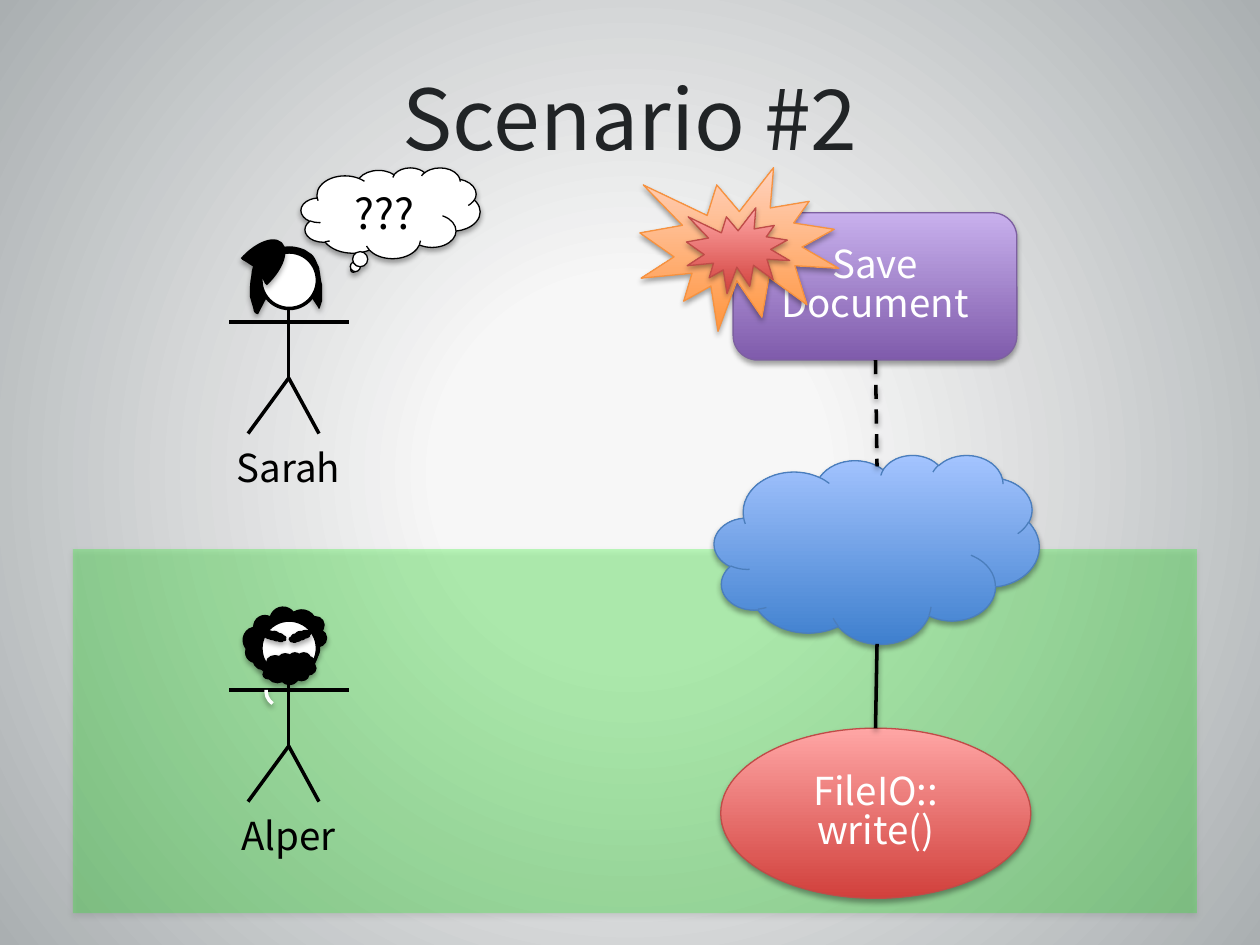
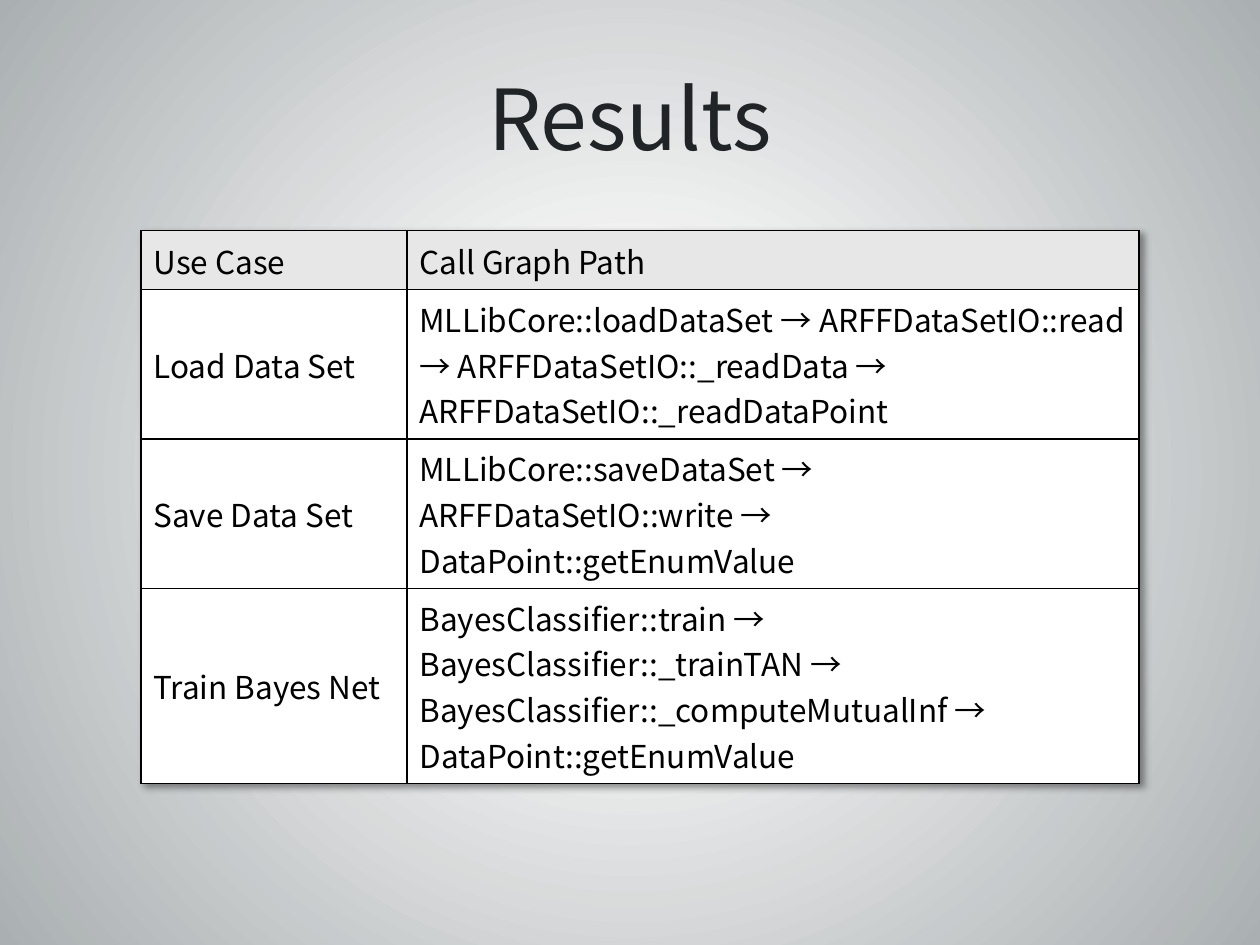
from lxml import etree
from pptx import Presentation
from pptx.dml.color import RGBColor
from pptx.enum.dml import MSO_LINE
from pptx.enum.shapes import MSO_CONNECTOR, MSO_SHAPE
from pptx.enum.text import MSO_ANCHOR, PP_ALIGN
from pptx.oxml import parse_xml
from pptx.oxml.ns import nsdecls, qn
from pptx.util import Cm, Pt

RECT, ROUNDED = MSO_SHAPE.RECTANGLE, MSO_SHAPE.ROUNDED_RECTANGLE
OVAL, CLOUD, ARC = MSO_SHAPE.OVAL, MSO_SHAPE.CLOUD, MSO_SHAPE.ARC
BURST, THOUGHT = MSO_SHAPE.EXPLOSION1, MSO_SHAPE.CLOUD_CALLOUT
STRAIGHT, DASH = MSO_CONNECTOR.STRAIGHT, MSO_LINE.DASH
CENTER = PP_ALIGN.CENTER
TOP, MIDDLE, BOTTOM = MSO_ANCHOR.TOP, MSO_ANCHOR.MIDDLE, MSO_ANCHOR.BOTTOM

FONT = "Noto Sans CJK JP"
TIGHT = 0.84  # line spacing of diagram labels
BLACK = RGBColor(0x00, 0x00, 0x00)
WHITE = RGBColor(0xFF, 0xFF, 0xFF)
TITLE_INK = RGBColor(0x21, 0x24, 0x26)
GREEN = RGBColor(0x00, 0xFF, 0x00)
HEADER_GREY = RGBColor(0xE7, 0xE7, 0xE7)
BACKDROP = (RGBColor(0xF7, 0xF7, 0xF7), RGBColor(0xAA, 0xAF, 0xB1))

# Gradients run from bottom to top; each has its outline colour
BLUE = (RGBColor(0x3F, 0x80, 0xCE), RGBColor(0xA4, 0xC4, 0xFF))
BLUE_LINE = RGBColor(0x4B, 0x7E, 0xBC)
RED = (RGBColor(0xD1, 0x40, 0x3C), RGBColor(0xFF, 0xA6, 0xA5))
RED_LINE = RGBColor(0xBF, 0x4C, 0x48)
PURPLE = (RGBColor(0x7F, 0x5B, 0xAB), RGBColor(0xC8, 0xB0, 0xED))
PURPLE_LINE = RGBColor(0x7D, 0x60, 0xA0)
ORANGE = (RGBColor(0xFF, 0x95, 0x3E), RGBColor(0xFF, 0xD2, 0xBD))
ORANGE_LINE = RGBColor(0xF6, 0x92, 0x40)

# Hair outlines in cm: a start point, then Bezier triples
HAIR_LEFT = [
    (5.87, 5.05), (5.79, 5.0), (5.74, 4.98), (5.66, 4.98),
    (5.56, 4.98), (5.46, 5.0), (5.38, 5.03), (5.31, 5.08), (5.23, 5.13), (5.18, 5.23),
    (5.13, 5.31), (5.08, 5.46), (5.08, 5.56), (5.05, 5.69), (5.05, 5.87), (5.05, 5.97),
    (5.08, 6.1), (5.13, 6.22), (5.13, 6.27), (5.16, 6.32), (5.18, 6.32), (5.21, 6.32)]
HAIR_RIGHT = [
    (5.64, 5.05), (5.69, 5.0), (5.74, 4.98), (5.84, 4.98),
    (5.92, 4.98), (6.02, 5.0), (6.1, 5.03), (6.17, 5.05), (6.22, 5.11), (6.27, 5.13),
    (6.32, 5.18), (6.35, 5.23), (6.38, 5.31), (6.4, 5.36), (6.43, 5.38), (6.43, 5.46),
    (6.45, 5.54), (6.45, 5.64), (6.48, 5.74), (6.48, 5.84), (6.48, 5.97), (6.48, 6.07),
    (6.45, 6.15), (6.45, 6.17), (6.43, 6.22)]

USE_CASES = [
    ("Use Case", "Call Graph Path"),
    ("Load Data Set", "MLLibCore::loadDataSet → ARFFDataSetIO::read → "
     "ARFFDataSetIO::_readData → ARFFDataSetIO::_readDataPoint"),
    ("Save Data Set", "MLLibCore::saveDataSet → ARFFDataSetIO::write → "
     "DataPoint::getEnumValue"),
    ("Train Bayes Net", "BayesClassifier::train → BayesClassifier::_trainTAN → "
     "BayesClassifier::_computeMutualInf → DataPoint::getEnumValue"),
]


def shadow_xml(blur, dist, angle, alpha):
    return parse_xml(
        f'<a:effectLst {nsdecls("a")}><a:outerShdw blurRad="{Pt(blur)}" dist="{Pt(dist)}" '
        f'dir="{angle * 60000}" rotWithShape="0"><a:srgbClr val="000000">'
        f'<a:alpha val="{alpha * 1000}"/></a:srgbClr></a:outerShdw></a:effectLst>')


def set_effect(sp, shadow):
    spPr = sp._element.spPr
    if shadow:
        spPr.append(shadow_xml(3.1, 1.8, 90, 35))
    else:
        etree.SubElement(spPr, qn("a:effectLst"))


def set_gradient(fill, colors, first=0):
    fill.gradient()
    fill.gradient_angle = 90
    for stop, color, position in zip(fill.gradient_stops, colors, (first, 1)):
        stop.color.rgb = color
        stop.position = position


def paint(sp, fill=None, line=None, width=0.75, shadow=True):
    """A pair of colours as fill is a gradient; None is no fill or no line."""
    if fill is None:
        sp.fill.background()
    elif isinstance(fill, RGBColor):
        sp.fill.solid()
        sp.fill.fore_color.rgb = fill
    else:
        set_gradient(sp.fill, fill)
    if line is None:
        sp.line.fill.background()
    else:
        sp.line.color.rgb = line
        sp.line.width = Pt(width)
    set_effect(sp, shadow)


def add_shape(shapes, kind, x, y, w, h, rotation=0, angles=(), **look):
    sp = shapes.add_shape(kind, Cm(x), Cm(y), Cm(w), Cm(h))
    sp.rotation = rotation
    for i, degrees in enumerate(angles):
        sp.adjustments[i] = degrees * 0.6
    paint(sp, **look)
    return sp


def add_line(shapes, x1, y1, x2, y2, shadow=False, dash=None):
    line = shapes.add_connector(STRAIGHT, Cm(x1), Cm(y1), Cm(x2), Cm(y2))
    line.line.color.rgb = BLACK
    line.line.width = Pt(2)
    if dash:
        line.line.dash_style = dash
    set_effect(line, shadow)


def add_curve(shapes, points):
    """Fill the outline of a chain of Bezier curves."""
    outline = []
    for i in range(0, len(points) - 1, 3):
        for t in (0.25, 0.5, 0.75, 1):
            u = 1 - t
            weights = (u ** 3, 3 * u * u * t, 3 * u * t * t, t ** 3)
            outline.append(tuple(
                Cm(sum(k * pt[axis] for k, pt in zip(weights, points[i:i + 4])))
                for axis in (0, 1)))
    builder = shapes.build_freeform(Cm(points[0][0]), Cm(points[0][1]))
    builder.add_line_segments(outline, close=False)
    paint(builder.convert_to_shape(), BLACK, BLACK)


def set_text(box, text, size, color, anchor=MIDDLE, align=CENTER, spacing=None):
    tf = box.text_frame
    tf.word_wrap = True
    tf.vertical_anchor = anchor
    p = tf.paragraphs[0]
    p.text = text
    p.alignment = align
    p.line_spacing = spacing
    p.font.name, p.font.size, p.font.color.rgb = FONT, Pt(size), color


def set_backdrop(master):
    """Give all slides a round gradient from the centre."""
    fill = master.background.fill
    set_gradient(fill, BACKDROP, first=0.24)
    grad = master._element.find(".//" + qn("a:gradFill"))
    grad.replace(grad.find(qn("a:lin")), parse_xml(
        f'<a:path {nsdecls("a")} path="circle">'
        '<a:fillToRect l="50000" t="50000" r="50000" b="50000"/></a:path>'))


def add_slide(prs, title):
    s = prs.slides.add_slide(prs.slide_layouts[5])
    box = s.shapes.title
    box.left, box.top, box.width, box.height = Cm(1.27), Cm(0.76), Cm(22.86), Cm(3.18)
    set_text(box, title, 48, TITLE_INK)
    return s


def add_stick_figure(shapes, top, name):
    """Draw head, body and name over hair that is already there."""
    x, hip = 5.82, top + 2.54
    add_shape(shapes, OVAL, 5.26, top, 1.14, 1.14, fill=WHITE, line=BLACK, width=2, shadow=False)
    add_line(shapes, x, top + 1.14, x, hip)
    add_line(shapes, 4.62, top + 1.41, 7.04, top + 1.41)
    for foot in (6.43, 5.0):
        add_line(shapes, x, hip, foot, top + 3.66)
    label = shapes.add_textbox(Cm(4.01), Cm(top + 3.89), Cm(3.61), Cm(1.19))
    set_text(label, name, 22, BLACK, TOP, spacing=TIGHT)


def add_alper(s):
    shapes = s.shapes.add_group_shape().shapes
    black = {"fill": BLACK, "line": BLACK}
    add_shape(shapes, CLOUD, 4.9, 12.24, 1.68, 1.24, 177.3, **black)
    add_stick_figure(shapes, 12.5, "Alper")
    # Beard, eyebrows and mouth
    add_shape(shapes, CLOUD, 5.28, 13.16, 1.09, 0.64, **black)
    for x, rotation in ((5.31, 198.2), (5.82, 162.7)):
        add_shape(shapes, CLOUD, x, 12.73, 0.46, 0.18, rotation, **black)
    add_shape(shapes, ARC, 5.31, 13.41, 1.04, 0.76, 319.6, (170.82, 206.22), line=WHITE, width=2)


def add_sarah(s):
    shapes = s.shapes.add_group_shape().shapes
    for hair in (HAIR_LEFT, HAIR_RIGHT):
        add_curve(shapes, hair)
    add_stick_figure(shapes, 5.08, "Sarah")
    # Fringe
    add_shape(shapes, ARC, 4.83, 4.72, 0.69, 1.4, 43.8, (169.01, 16.06),
              fill=BLACK, line=BLACK, width=2)


def style_cell(cell, text, fill, anchor):
    tcPr = cell._tc.get_or_add_tcPr()
    for side in ("lnL", "lnR", "lnT", "lnB"):
        tcPr.append(parse_xml(
            f'<a:{side} {nsdecls("a")} w="{Pt(1)}"><a:solidFill>'
            f'<a:srgbClr val="{BLACK}"/></a:solidFill></a:{side}>'))
    cell.fill.solid()
    cell.fill.fore_color.rgb = fill
    cell.vertical_anchor = anchor
    p = cell.text_frame.paragraphs[0]
    p.text = text
    p.font.name, p.font.size, p.font.color.rgb = FONT, Pt(18), BLACK


def add_use_case_table(s):
    table = s.shapes.add_table(len(USE_CASES), 2, Cm(2.84), Cm(4.65), Cm(20.12), Cm(4.31)).table
    table.first_row = table.horz_banding = False
    table._tbl.tblPr.insert(0, shadow_xml(4, 3, 45, 40))
    table.columns[0].width, table.columns[1].width = Cm(5.36), Cm(14.76)
    for i, (use_case, call_path) in enumerate(USE_CASES):
        table.rows[i].height = Cm(1.04 if i else 1.19)
        fill = WHITE if i else HEADER_GREY
        style_cell(table.cell(i, 0), use_case, fill, MIDDLE if i else BOTTOM)
        style_cell(table.cell(i, 1), call_path, fill, TOP if i > 1 else BOTTOM)


def build_scenario(prs):
    s = add_slide(prs, "Scenario #2")
    shapes = s.shapes
    # Translucent zone
    zone = add_shape(shapes, RECT, 1.47, 11.07, 22.66, 7.34, fill=GREEN)
    green = zone._element.spPr.find(qn("a:solidFill")).find(qn("a:srgbClr"))
    etree.SubElement(green, qn("a:alpha"), val="24000")
    # Call chain
    add_shape(shapes, CLOUD, 14.4, 9.17, 6.55, 3.81, fill=BLUE, line=BLUE_LINE)
    write = add_shape(shapes, OVAL, 14.53, 14.68, 6.25, 3.43, fill=RED, line=RED_LINE)
    set_text(write, "FileIO:: write()", 22, WHITE, spacing=TIGHT)
    save = add_shape(shapes, ROUNDED, 14.78, 4.29, 5.72, 2.97, fill=PURPLE, line=PURPLE_LINE)
    set_text(save, "Save Document", 22, WHITE, spacing=TIGHT)
    add_line(shapes, 17.65, 7.26, 17.68, 9.4, shadow=True, dash=DASH)
    add_line(shapes, 17.68, 12.98, 17.65, 14.68, shadow=True)
    # People
    add_alper(s)
    add_sarah(s)
    # Failure and puzzled thought
    add_shape(shapes, BURST, 12.9, 3.38, 4.01, 3.3, fill=ORANGE, line=ORANGE_LINE)
    add_shape(shapes, BURST, 13.84, 4.19, 2.08, 1.73, fill=RED, line=RED_LINE)
    thought = add_shape(shapes, THOUGHT, 6.07, 3.38, 3.61, 1.83, fill=WHITE, line=BLACK)
    set_text(thought, "???", 24, BLACK, TOP)


def build_results(prs):
    s = add_slide(prs, "Results")
    add_use_case_table(s)


def main():
    prs = Presentation()
    prs.slide_width, prs.slide_height = Cm(25.4), Cm(19.05)
    set_backdrop(prs.slide_master)
    build_scenario(prs)
    build_results(prs)
    prs.save("out.pptx")


if __name__ == "__main__":
    main()
